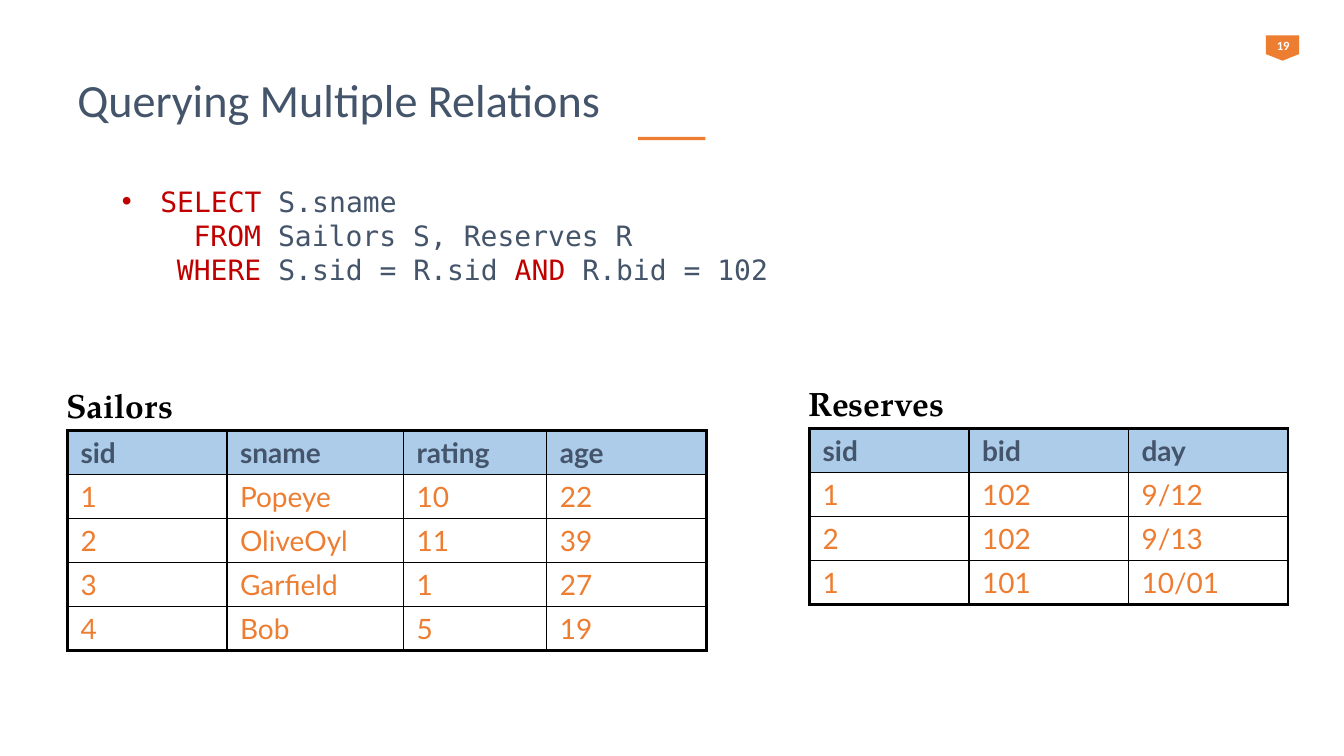
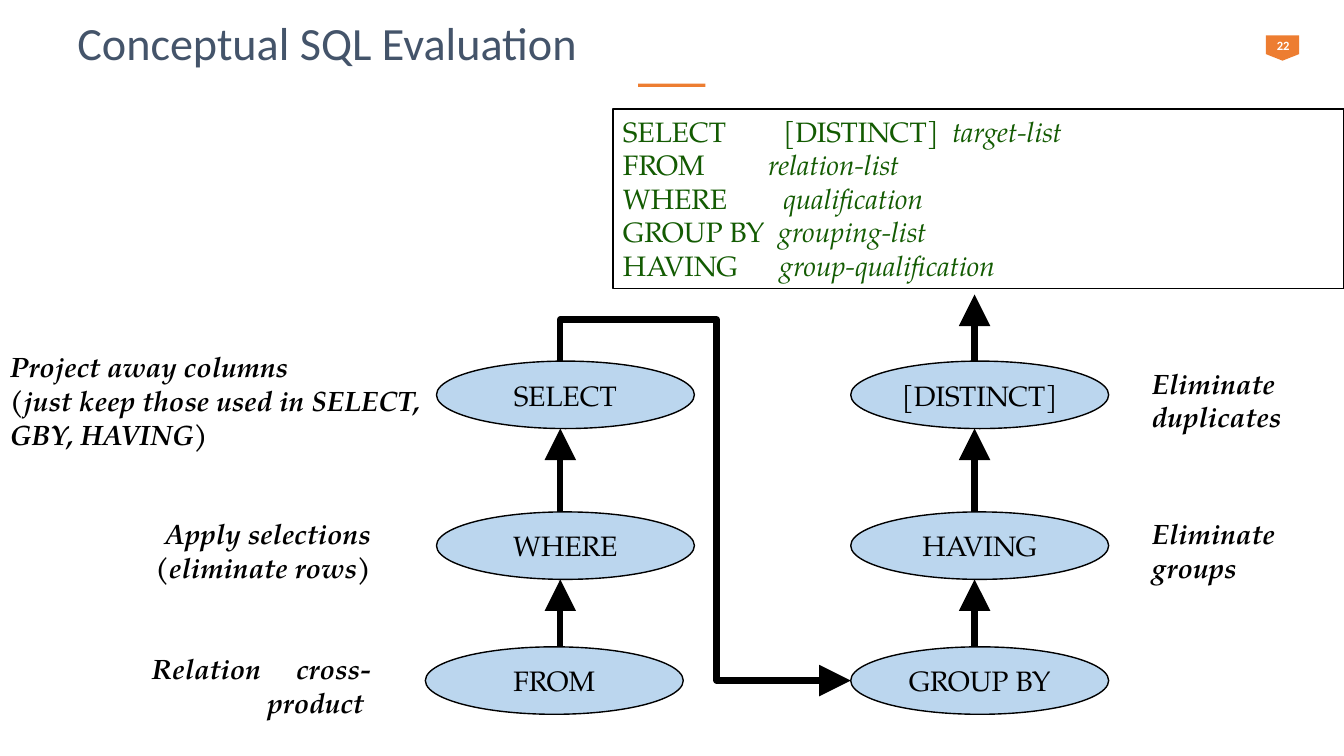
from itertools import product

from lxml.etree import SubElement
from pptx import Presentation
from pptx.dml.color import RGBColor
from pptx.enum.shapes import MSO_CONNECTOR, MSO_SHAPE
from pptx.enum.text import MSO_ANCHOR, PP_ALIGN
from pptx.oxml.ns import qn
from pptx.util import Cm, Pt

COLORS = {
    "accent": "ED7D31",
    "title": "44546A",
    "keyword": "C00000",
    "clause": "135B02",
    "header": "5B9BD5",
    "step": "BBD6EE",
    "black": "000000",
    "white": "FFFFFF",
}
SERIF = "TeX Gyre Pagella"
BADGE = {"name": "Calibri", "size": Pt(9), "bold": True, "color": "white"}
TITLE = {"name": "Calibri", "size": Pt(33), "color": "title"}
CODE = {"name": "DejaVu Sans Mono", "size": Pt(20), "color": "title"}
KEYWORD = CODE | {"color": "keyword"}
CAPTION = {"name": SERIF, "size": Pt(24), "bold": True, "color": "black"}
HEADER = {"name": "Lato", "size": Pt(20), "bold": True, "color": "title"}
VALUE = HEADER | {"bold": False, "color": "accent"}
STEP = {"name": SERIF, "size": Pt(20), "color": "black"}
NOTE = STEP | {"bold": True, "italic": True}
CLAUSE = STEP | {"color": "clause"}
ARGUMENT = CLAUSE | {"italic": True}

CELL = {
    "margin_left": Cm(0.33),
    "margin_right": Cm(0.33),
    "margin_top": Cm(0.13),
    "margin_bottom": Cm(0.13),
}
CENTER = {"alignment": PP_ALIGN.CENTER}
RIGHT = {"alignment": PP_ALIGN.RIGHT}
ROW_HEIGHT = 1.1
CODE_CHAR = 0.42
CODE_INDENT = 0.97
STEP_WIDTH, STEP_HEIGHT = 6.5, 1.7
STEP_TOPS = (16.3, 12.9, 9.1)


def rgb(color):
    return RGBColor.from_string(COLORS[color])


def apply(target, values):
    for attribute, value in values.items():
        setattr(target, attribute, value)


def add_run(paragraph, text, style):
    run = paragraph.add_run()
    run.text = text
    apply(run.font, {key: value for key, value in style.items() if key != "color"})
    run.font.color.rgb = rgb(style["color"])
    return run


def write(frame, lines, layout):
    frame.word_wrap = True
    for index, runs in enumerate(lines):
        paragraph = frame.paragraphs[0] if index == 0 else frame.add_paragraph()
        apply(paragraph, layout)
        for text, style in runs:
            add_run(paragraph, text, style)
    return frame


def add_text(shapes, box, lines, layout={}, anchor=MSO_ANCHOR.TOP):
    frame = shapes.add_textbox(*map(Cm, box)).text_frame
    frame.vertical_anchor = anchor
    return write(frame, lines, layout)


def add_block(shapes, kind, box, fill=None, line=None):
    block = shapes.add_shape(kind, *map(Cm, box))
    block.shadow.inherit = False
    if fill:
        block.fill.solid()
        block.fill.fore_color.rgb = rgb(fill)
    else:
        block.fill.background()
    if line:
        block.line.color.rgb = rgb(line)
        block.line.width = Pt(1)
    else:
        block.line.fill.background()
    return block


def set_tabs(paragraph, stops):
    tabs = SubElement(paragraph._p.get_or_add_pPr(), qn("a:tabLst"))
    for stop in stops:
        SubElement(tabs, qn("a:tab"), pos=str(Cm(stop)), algn="l")


def set_indent(paragraph, left, hanging=0):
    properties = paragraph._p.get_or_add_pPr()
    properties.set("marL", str(Cm(left)))
    properties.set("indent", str(-Cm(hanging)))
    return properties


def add_bullet(properties, color):
    tint = SubElement(properties, qn("a:buClr"))
    SubElement(tint, qn("a:srgbClr"), val=COLORS[color])
    SubElement(properties, qn("a:buFont"), typeface="Arial")
    SubElement(properties, qn("a:buChar"), char="•")


def add_border(cell, side, width):
    border = SubElement(cell._tc.get_or_add_tcPr(), qn(f"a:ln{side}"), w=str(Pt(width)))
    fill = SubElement(border, qn("a:solidFill"))
    SubElement(fill, qn("a:srgbClr"), val=COLORS["black"])


def add_relation(slide, name, left, top, widths, rows):
    add_text(slide.shapes, (left - 0.28, top - 1.27, 5.3, 1.3), [[(name, CAPTION)]])
    height = ROW_HEIGHT * len(rows)
    table = slide.shapes.add_table(
        len(rows), len(widths), Cm(left), Cm(top), Cm(sum(widths)), Cm(height)
    ).table
    table.first_row = table.horz_banding = False
    for column, width in zip(table.columns, widths):
        column.width = Cm(width)
    for row in table.rows:
        row.height = Cm(ROW_HEIGHT)
    last_row, last_column = len(rows) - 1, len(widths) - 1
    for r, c in product(range(len(rows)), range(len(widths))):
        cell = table.cell(r, c)
        apply(cell, CELL)
        write(cell.text_frame, [[(rows[r][c], VALUE if r else HEADER)]], {})
        outer = {"L": c == 0, "R": c == last_column, "T": r == 0, "B": r == last_row}
        for side, is_outer in outer.items():
            add_border(cell, side, 2.25 if is_outer else 1)
        if r:
            cell.fill.background()
        else:
            cell.fill.solid()
            cell.fill.fore_color.rgb = rgb("header")
            tint = cell._tc.tcPr.find(f"{qn('a:solidFill')}/{qn('a:srgbClr')}")
            SubElement(tint, qn("a:alpha"), val="50000")


def style_arrow(arrow):
    arrow.line.color.rgb = rgb("black")
    arrow.line.width = Pt(4.5)
    SubElement(arrow.line._get_or_add_ln(), qn("a:tailEnd"), type="triangle", w="lg", len="lg")


def add_up_arrow(slide, x, bottom, top):
    arrow = slide.shapes.add_connector(
        MSO_CONNECTOR.STRAIGHT, Cm(x), Cm(bottom), Cm(x), Cm(top)
    )
    style_arrow(arrow)
    SubElement(arrow._element.spPr, qn("a:effectLst"))


def add_route(slide, points):
    corners = [(Cm(x), Cm(y)) for x, y in points]
    builder = slide.shapes.build_freeform(*corners[0])
    builder.add_line_segments(corners[1:], close=False)
    route = builder.convert_to_shape()
    route.shadow.inherit = False
    route.fill.background()
    style_arrow(route)


def add_steps(slide, lefts, names):
    for left, top, name in zip(lefts, STEP_TOPS, names):
        box = (left, top, STEP_WIDTH, STEP_HEIGHT)
        step = add_block(slide.shapes, MSO_SHAPE.OVAL, box, "step", "black")
        write(step.text_frame, [[(name, STEP)]], CENTER)


def add_slide(deck, title, number, title_top, accent_top):
    slide = deck.slides.add_slide(deck.slide_layouts[6])
    badge = slide.shapes.add_group_shape().shapes
    plate = add_block(badge, MSO_SHAPE.PENTAGON, (32, 0.79, 0.64, 0.84), "accent")
    plate.rotation = 90
    plate.adjustments[0] = 0.26
    add_text(badge, (31.78, 0.84, 1.12, 0.64), [[(number, BADGE)]], CENTER)
    add_text(slide.shapes, (1.7, title_top, 30.48, 1.45), [[(title, TITLE)]],
             {"line_spacing": 0.9}, MSO_ANCHOR.MIDDLE)
    add_block(slide.shapes, MSO_SHAPE.RECTANGLE, (16.08, accent_top, 1.7, 0.08), "accent")
    return slide


def add_query(slide):
    lines = [
        [("SELECT", KEYWORD), (" S.sname", CODE)],
        [("FROM", KEYWORD), (" Sailors S, Reserves R", CODE)],
        [("WHERE ", KEYWORD), ("S.sid = R.sid ", CODE), ("AND", KEYWORD),
         (" R.bid = 102", CODE)],
    ]
    query = add_text(slide.shapes, (2.82, 4.5, 28.27, 3), lines, {"line_spacing": Pt(24.4)})
    select, *clauses = query.paragraphs
    add_bullet(set_indent(select, CODE_INDENT, CODE_INDENT), "keyword")
    for clause, columns in zip(clauses, (2, 1)):
        set_indent(clause, CODE_INDENT + columns * CODE_CHAR)


def add_syntax(slide):
    clauses = [
        ([("SELECT\t[DISTINCT]\t", CLAUSE), ("target-list", ARGUMENT)], (4.04, 8.3)),
        ([("FROM\t", CLAUSE), ("relation-list", ARGUMENT)], (3.66,)),
        ([("WHERE\t", CLAUSE), ("qualification", ARGUMENT)], (4.04,)),
        ([("GROUP BY\t", CLAUSE), ("grouping-list", ARGUMENT)], (3.91,)),
        ([("HAVING\t", CLAUSE), ("group-qualification", ARGUMENT)], (3.94,)),
    ]
    syntax = add_block(slide.shapes, MSO_SHAPE.RECTANGLE, (15.45, 2.75, 18.42, 4.52), line="black")
    frame = syntax.text_frame
    frame.vertical_anchor = MSO_ANCHOR.TOP
    write(frame, [runs for runs, _ in clauses], {"alignment": PP_ALIGN.LEFT})
    for paragraph, (_, stops) in zip(frame.paragraphs, clauses):
        set_tabs(paragraph, stops)


def add_notes(slide):
    from_top, where_top, select_top = STEP_TOPS
    notes = [
        ((0, 8.69, 11.58, 2.8),
         ["Project away columns", "(just keep those used in SELECT, GBY, HAVING)"], {}),
        ((0, where_top, 9.6, 1.96), ["Apply selections", "(eliminate rows)"], RIGHT),
        ((28.78, where_top, 5.08, 1.96), ["Eliminate groups"], {}),
        ((28.78, select_top, 5.08, 1.96), ["Eliminate duplicates"], {}),
    ]
    for box, lines, layout in notes:
        add_text(slide.shapes, box, [[(line, NOTE)] for line in lines], layout)
    cross = [("Relation", NOTE), (" ", NOTE), ("cross-product ", NOTE)]
    frame = add_text(slide.shapes, (2.26, from_top, 7.34, 1.96), [cross], RIGHT)
    gap = frame.paragraphs[0].runs[1]
    gap._r.get_or_add_rPr().set("spc", "2000")


def build_relations(deck):
    slide = add_slide(deck, "Querying Multiple Relations", "19", 1.85, 3.45)
    add_query(slide)
    add_relation(slide, "Sailors", 1.7, 10.85, (4.02, 4.45, 3.61, 4.02), [
        ("sid", "sname", "rating", "age"),
        ("1", "Popeye", "10", "22"),
        ("2", "OliveOyl", "11", "39"),
        ("3", "Garfield", "1", "27"),
        ("4", "Bob", "5", "19"),
    ])
    add_relation(slide, "Reserves", 20.4, 10.8, (4.02, 4.02, 4.02), [
        ("sid", "bid", "day"),
        ("1", "102", "9/12"),
        ("2", "102", "9/13"),
        ("1", "101", "10/01"),
    ])


def build_evaluation(deck):
    slide = add_slide(deck, "Conceptual SQL Evaluation", "22", 0.43, 2.11)
    add_syntax(slide)
    right_left = 21.44
    add_steps(slide, (10.72, 11, 11), ("FROM", "WHERE", "SELECT"))
    add_steps(slide, (right_left,) * 3, ("GROUP BY", "HAVING", "[DISTINCT]"))
    add_notes(slide)
    left_x, right_x, turn_x = 14.12, 24.56, 18.06
    for x in (left_x, right_x):
        for lower, upper in zip(STEP_TOPS, STEP_TOPS[1:]):
            add_up_arrow(slide, x, lower, upper + STEP_HEIGHT)
    add_up_arrow(slide, right_x, STEP_TOPS[-1], 7.42)
    group_y = STEP_TOPS[0] + STEP_HEIGHT / 2
    add_route(slide, [(left_x, STEP_TOPS[-1]), (left_x, 8.05), (turn_x, 8.05),
                      (turn_x, group_y), (right_left, group_y)])


def main():
    deck = Presentation()
    deck.slide_width, deck.slide_height = Cm(33.87), Cm(19.05)
    build_relations(deck)
    build_evaluation(deck)
    deck.save("out.pptx")


if __name__ == "__main__":
    main()
